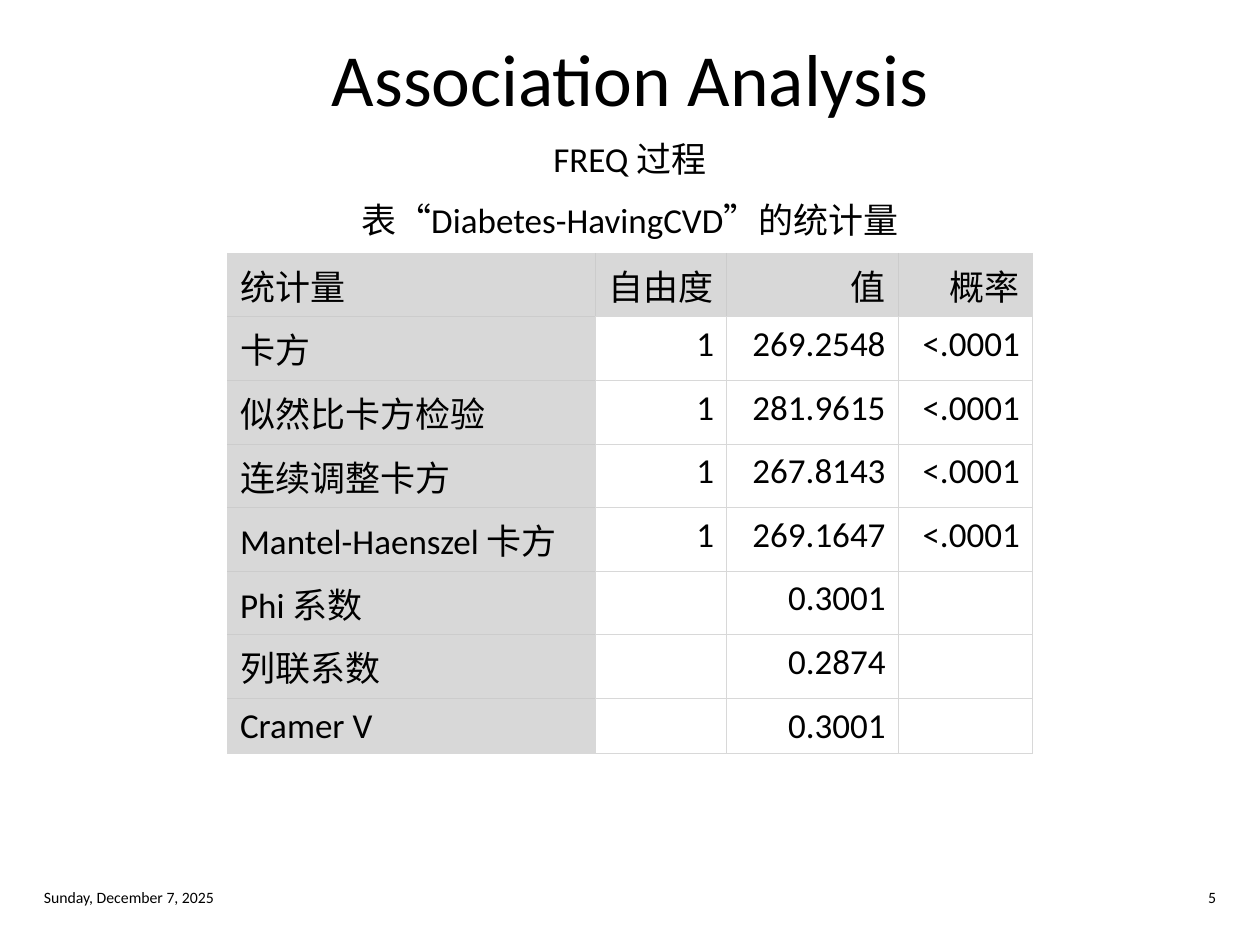
from lxml import etree
from pptx import Presentation
from pptx import util as u
from pptx.dml.color import RGBColor
from pptx.enum import text as t
from pptx.oxml.ns import qn

# Grid of 40 columns by 30 rows on a 10 x 7.5 inch slide
CELL = 0.25
FONT, INK, GREY, RULE = "Calibri", "000000", "D8D8D8", "CCCCCC"
LEFT, MID, RIGHT = t.PP_ALIGN.LEFT, t.PP_ALIGN.CENTER, t.PP_ALIGN.RIGHT
TOP, HALF, BASE = t.MSO_ANCHOR.TOP, t.MSO_ANCHOR.MIDDLE, t.MSO_ANCHOR.BOTTOM

COLS = [11.69, 4.16, 5.45, 4.26]
ROWS = [
    ["统计量", "自由度", "值", "概率"],
    ["卡方", "1", "269.2548", "<.0001"],
    ["似然比卡方检验", "1", "281.9615", "<.0001"],
    ["连续调整卡方", "1", "267.8143", "<.0001"],
    ["Mantel-Haenszel 卡方", "1", "269.1647", "<.0001"],
    ["Phi 系数", "", "0.3001", ""],
    ["列联系数", "", "0.2874", ""],
    ["Cramer V", "", "0.3001", ""],
]
# The last row holds Latin text only and is lower
HIGHS = [2.02] * (len(ROWS) - 1) + [1.76]


def grid(*units):
    return [u.Inches(n * CELL) for n in units]


def color(code):
    return RGBColor.from_string(code)


def write(frame, words, size, align):
    frame.text = words
    para = frame.paragraphs[0]
    para.alignment = align
    for run in para.runs:
        run.font.name = FONT
        run.font.size = u.Pt(size)
        run.font.color.rgb = color(INK)


def label(slide, box, words, size, align, anchor=TOP):
    frame = slide.shapes.add_textbox(*grid(*box)).text_frame
    frame.word_wrap = True
    frame.vertical_anchor = anchor
    write(frame, words, size, align)


def edge(cell, side, code):
    props = cell._tc.get_or_add_tcPr()
    line = etree.SubElement(props, qn("a:ln" + side), w=str(u.Pt(0.5)))
    fill = etree.SubElement(line, qn("a:solidFill"))
    etree.SubElement(fill, qn("a:srgbClr"), val=code)


def header(slide, box):
    x, y, w, h = box
    label(slide, (x, y, w, 2.88), "Association Analysis", 42, MID, HALF)
    label(slide, (x, y + 3.16, w, 1.68), "FREQ 过程", 20, MID)
    label(slide, (x + 9.42, y + 5.12, 19.16, 1.68),
          "表“Diabetes-HavingCVD”的统计量", 20, MID)


def stats(slide, box):
    table = slide.shapes.add_table(len(ROWS), len(COLS), *grid(*box)).table
    table.first_row = table.horz_banding = False
    for col, wide in zip(table.columns, grid(*COLS)):
        col.width = wide
    for row, high in zip(table.rows, grid(*HIGHS)):
        row.height = high
    for r, row in enumerate(ROWS):
        for c, words in enumerate(row):
            cell = table.cell(r, c)
            shade = r == 0 or c == 0
            # Inner rules of shaded cells are darker than the outer frame
            outer = {"L": c == 0, "R": c == len(COLS) - 1,
                     "T": r == 0, "B": r == len(ROWS) - 1}
            for side, rim in outer.items():
                edge(cell, side, RULE if shade and not rim else GREY)
            if shade:
                cell.fill.solid()
                cell.fill.fore_color.rgb = color(GREY)
            else:
                cell.fill.background()
            cell.vertical_anchor = BASE if r == 0 else TOP
            write(cell.text_frame, words, 20, RIGHT if c else LEFT)


def footer(slide, box):
    x, y, w, h = box
    part = w / 4
    label(slide, (x, y, part, h), "Sunday, December 7, 2025", 9, LEFT, HALF)
    label(slide, (x + w - part, y, part, h), "5", 9, RIGHT, HALF)


def main():
    deck = Presentation()
    deck.slide_width, deck.slide_height = grid(40, 30)
    slide = deck.slides.add_slide(deck.slide_layouts[6])
    header(slide, (1, 1, 38, 6.8))
    stats(slide, (7.22, 8.04, sum(COLS), sum(HIGHS)))
    footer(slide, (1, 27.96, 38, 1.04))
    deck.save("out.pptx")


if __name__ == "__main__":
    main()
